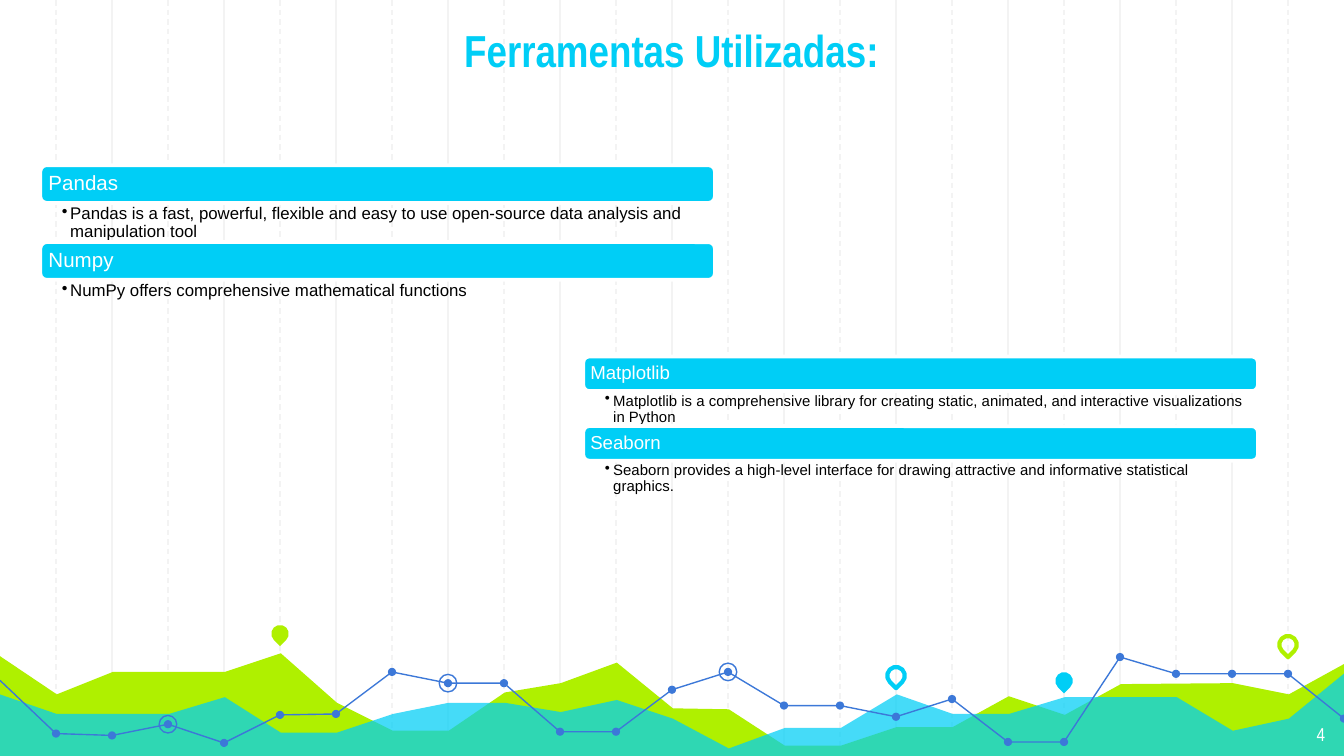
from dataclasses import dataclass

from lxml.etree import SubElement
from pptx import Presentation
from pptx.dml.color import RGBColor
from pptx.enum.dml import MSO_LINE
from pptx.enum.shapes import MSO_CONNECTOR, MSO_SHAPE
from pptx.enum.text import MSO_ANCHOR, MSO_AUTO_SIZE, PP_ALIGN
from pptx.oxml.ns import qn
from pptx.util import Pt


@dataclass(frozen=True)
class Theme:
    cyan: str = "00CEF6"
    lime: str = "AFF000"
    blue: str = "3C78D8"
    grid: str = "F3F3F3"
    white: str = "FFFFFF"
    black: str = "000000"
    display: str = "Arial Narrow"
    body: str = "Arial"
    title_size: int = 24
    number_size: int = 10


THEME = Theme()
WIDTH, HEIGHT = 720, 405
STEP = 30
BASELINE = 406.5
MARK, DOT = 9.4, 4.4

# Heights by grid column
LIME_AREA = {0: 350.5, 1: 372, 2: 360, 4: 360, 5: 350, 6: 376.5, 7: 391.5,
             8: 391.5, 9: 371, 10: 366, 11: 355, 12: 379.5, 13: 380,
             14: 399.5, 15: 399.5, 16: 389.5, 17: 389.5, 18: 373, 19: 383,
             20: 366.5, 22: 366, 23: 372, 24: 355.5}
CYAN_AREA = {0: 371.5, 1: 382.5, 3: 382.5, 4: 373.5, 5: 392.5, 6: 392.5,
             7: 382.5, 8: 376.5, 9: 376.5, 10: 381.5, 11: 375, 12: 385,
             13: 401, 14: 390, 15: 390, 16: 372, 17: 382.5, 18: 382.5,
             19: 373.5, 21: 373.5, 22: 391.5, 23: 385, 24: 360.5}
TREND = [364.5, 393, 394, 388, 398, 383, 382.5, 360, 366, 366, 392, 392,
         369.5, 360, 378, 378, 384, 374.5, 397.5, 397.5, 352, 361, 361, 361,
         385]
TREND_BREAKS = [0, 11, 20, 24]
RINGS = [3, 8, 13]
PINS = [(5, 339.5, THEME.lime, True), (16, 362, THEME.cyan, False),
        (19, 364.8, THEME.cyan, True), (23, 345.4, THEME.lime, False)]

CARD_WIDTH = 361.4
CARD_STACKS = [
    dict(left=21.6, top=88.5, pitch=41.2, head=20.2, inset=3.4, sizes=(11, 9),
         tools=[("Pandas", "Pandas\u00a0is a fast, powerful, flexible and easy to "
                 "use open-source data analysis and manipulation tool"),
                ("Numpy", "NumPy offers comprehensive mathematical functions")]),
    dict(left=312.5, top=191, pitch=37.3, head=18.5, inset=2.9, sizes=(10, 8),
         tools=[("Matplotlib", "Matplotlib is a comprehensive library for creating "
                 "static, animated, and interactive visualizations in Python"),
                ("Seaborn", "Seaborn provides a high-level interface for drawing "
                 "attractive and informative statistical graphics.")]),
]


def set_attrs(obj, values):
    for name, value in values.items():
        setattr(obj, name, value)


def paint(sp, fill=None, line=None, weight=0.75):
    sp.shadow.inherit = False
    if fill:
        sp.fill.solid()
        sp.fill.fore_color.rgb = RGBColor.from_string(fill)
    else:
        sp.fill.background()
    if line:
        sp.line.color.rgb = RGBColor.from_string(line)
        sp.line.width = Pt(weight)
    else:
        sp.line.fill.background()


def write(sp, text, size, color, font, insets, bold=False,
          align=PP_ALIGN.LEFT, anchor=MSO_ANCHOR.TOP, spacing=1.0):
    """Fill a text frame with one paragraph; insets run left, top, right, bottom."""
    tf = sp.text_frame
    sides = ("margin_left", "margin_top", "margin_right", "margin_bottom")
    set_attrs(tf, dict(zip(sides, map(Pt, insets))))
    set_attrs(tf, dict(word_wrap=True, auto_size=MSO_AUTO_SIZE.NONE,
                       vertical_anchor=anchor))
    p = tf.paragraphs[0]
    set_attrs(p, dict(alignment=align, line_spacing=spacing))
    r = p.add_run()
    r.text = text
    set_attrs(r.font, dict(size=Pt(size), name=font, bold=bold))
    r.font.color.rgb = RGBColor.from_string(color)
    return p


def add_bullet(p, color, indent):
    pPr = p._p.get_or_add_pPr()
    pPr.set("marL", str(Pt(indent)))
    pPr.set("indent", str(-Pt(indent)))
    SubElement(SubElement(pPr, qn("a:buClr")), qn("a:srgbClr"), val=color)
    SubElement(pPr, qn("a:buChar"), char="•")


def add_grid(shapes):
    for column in range(1, WIDTH // STEP):
        x = Pt(column * STEP)
        line = shapes.add_connector(MSO_CONNECTOR.STRAIGHT, x, 0, x, Pt(BASELINE))
        line.line.color.rgb = RGBColor.from_string(THEME.grid)
        line.line.width = Pt(0.75)
        if column % 2:
            line.line.dash_style = MSO_LINE.DASH
        SubElement(line.element.spPr, qn("a:effectLst"))


def add_outline(shapes, points, close):
    start, *rest = [(Pt(x), Pt(y)) for x, y in points]
    builder = shapes.build_freeform(*start)
    builder.add_line_segments(rest, close=close)
    return builder.convert_to_shape()


def add_area(shapes, heights, color, opacity=100):
    points = [(column * STEP + 0.5, y) for column, y in heights.items()]
    points[0] = (-1.5, points[0][1])
    points += [(WIDTH + 1, BASELINE), (-2, BASELINE)]
    sp = add_outline(shapes, points, close=True)
    paint(sp, fill=color)
    if opacity < 100:
        clr = sp.element.spPr.find(".//" + qn("a:srgbClr"))
        SubElement(clr, qn("a:alpha"), val=str(opacity * 1000))


def add_mark(shapes, kind, column, y, size):
    """Centre a small shape on a grid column."""
    return shapes.add_shape(kind, Pt(column * STEP - size / 2), Pt(y - size / 2),
                            Pt(size), Pt(size))


def add_pin(shapes, column, y, color, solid):
    pin = add_mark(shapes, MSO_SHAPE.TEAR, column, y, MARK)
    pin.rotation = 135
    if solid:
        paint(pin, fill=color)
    else:
        paint(pin, line=color, weight=2.25)


def add_trend(shapes):
    nodes = [(column * STEP, y) for column, y in enumerate(TREND)]
    for first, last in zip(TREND_BREAKS, TREND_BREAKS[1:]):
        paint(add_outline(shapes, nodes[first:last + 1], close=False),
              line=THEME.blue)
    for column, y in list(enumerate(TREND))[1:]:
        paint(add_mark(shapes, MSO_SHAPE.OVAL, column, y, DOT), fill=THEME.blue)
    for column in RINGS:
        paint(add_mark(shapes, MSO_SHAPE.OVAL, column, TREND[column], MARK),
              line=THEME.blue)


def add_title(slide, text):
    title = slide.shapes.title
    set_attrs(title, dict(left=Pt(84.2), top=Pt(12.2), width=Pt(551), height=Pt(36)))
    write(title, text, THEME.title_size, THEME.cyan, THEME.display, [7.2] * 4,
          bold=True, align=PP_ALIGN.CENTER, anchor=MSO_ANCHOR.BOTTOM)
    title.element.getparent().append(title.element)  # in front of the grid


def add_number(shapes, text):
    box = shapes.add_textbox(Pt(674), Pt(380), Pt(43), Pt(25))
    write(box, text, THEME.number_size, THEME.white, THEME.display, [7.2] * 4,
          align=PP_ALIGN.RIGHT)


def add_cards(shapes, left, top, pitch, head, inset, sizes, tools):
    """Stack tool names as bars, each with its description below."""
    for row, (name, description) in enumerate(tools):
        y = top + row * pitch
        bar = shapes.add_shape(MSO_SHAPE.ROUNDED_RECTANGLE, Pt(left), Pt(y),
                               Pt(CARD_WIDTH), Pt(head))
        paint(bar, fill=THEME.cyan, line=THEME.white, weight=2)
        write(bar, name, sizes[0], THEME.white, THEME.body, [inset] * 4,
              anchor=MSO_ANCHOR.MIDDLE, spacing=0.9)
        box = shapes.add_textbox(Pt(left), Pt(y + head), Pt(CARD_WIDTH),
                                 Pt(pitch - head))
        p = write(box, description, sizes[1], THEME.black, THEME.body,
                  (11.5, 1.2, 6, 1.2), spacing=0.9)
        add_bullet(p, THEME.black, 4.5)


def main():
    prs = Presentation()
    prs.slide_width, prs.slide_height = Pt(WIDTH), Pt(HEIGHT)
    s = prs.slides.add_slide(prs.slide_layouts[5])
    add_grid(s.shapes)
    add_area(s.shapes, LIME_AREA, THEME.lime)
    add_area(s.shapes, CYAN_AREA, THEME.cyan, opacity=73)
    add_trend(s.shapes)
    for pin in PINS:
        add_pin(s.shapes, *pin)
    add_title(s, "Ferramentas Utilizadas:")
    add_number(s.shapes, "4")
    for stack in CARD_STACKS:
        add_cards(s.shapes, **stack)
    prs.save("out.pptx")


if __name__ == "__main__":
    main()
